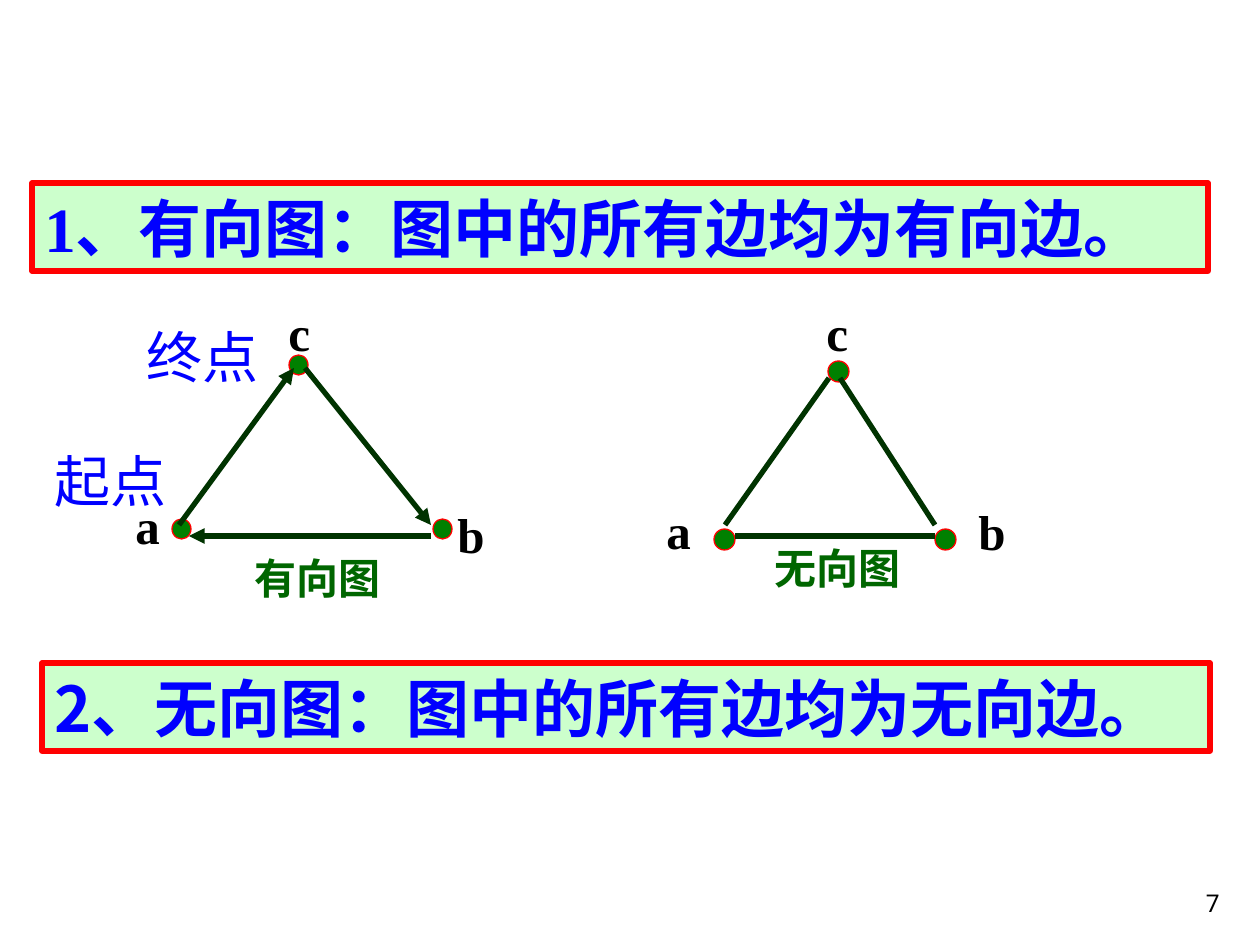
import pptx
import pptx.util
import pptx.dml.color
import pptx.enum.shapes
import pptx.enum.text
from lxml import etree

THEME = {
    "bar": "CCFFCC", "border": "FF0000", "blue": "0000FF", "node": "008000",
    "edge": "003300", "caption": "006600", "black": "000000",
    "serif": "Times New Roman", "sans": "Roboto", "cjk": "Noto Sans CJK SC",
    "bar_pt": 36, "node_pt": 28, "caption_pt": 24, "end_pt": 32, "number_pt": 14,
    "line_pt": 3, "ring_pt": 0.75,
}
SCALE = 914400 / 126

BARS = [
    ((32, 183, 1176, 88), [("1、", "serif"), ("有向图：图中的所有边均为有向边。", "cjk")]),
    ((42, 663, 1168, 88), [("2、无向图：图中的所有边均为无向边。", "cjk")]),
]
GRAPHS = [
    {
        "labels": [("c", (276, 296, 47, 72)), ("a", (123, 489, 49, 72)), ("b", (445, 498, 49, 72))],
        "nodes": [(289, 355), (172, 519), (433, 519)], "node_size": (19, 20),
        "edges": [(179, 525, 294, 368), (305, 368, 431, 525), (431, 536, 189, 536)],
        "directed": True, "caption": ("有向图", (242, 546, 151, 63)),
    },
    {
        "labels": [("c", (814, 296, 47, 72)), ("a", (654, 494, 49, 72)), ("b", (966, 495, 52, 72))],
        "nodes": [(828, 361), (714, 529), (935, 529)], "node_size": (21, 21),
        "edges": [(725, 525, 829, 378), (840, 378, 935, 525), (735, 536, 935, 536)],
        "directed": False, "caption": ("无向图", (762, 536, 151, 63)),
    },
]
ENDS = [("起点", (42, 440, 149, 81)), ("终点", (134, 316, 149, 81))]
NUMBER = ("7", (970, 861, 262, 63))


def emu(*lengths):
    return [pptx.util.Emu(round(n * SCALE)) for n in lengths]


def color(name):
    return pptx.dml.color.RGBColor.from_string(THEME[name])


def add_run(p, text, font, size, ink, bold):
    r = p.add_run()
    r.text = text
    r.font.size = pptx.util.Pt(THEME[size])
    r.font.bold = bold
    r.font.color.rgb = color(ink)
    r.font.name = THEME[font]
    ea = etree.SubElement(r.font._element, pptx.oxml.ns.qn("a:ea"))
    ea.set("typeface", THEME["cjk"])


def add_text(shapes, text, box, font, size, ink, bold=False, wrap=False):
    tf = shapes.add_textbox(*emu(*box)).text_frame
    tf.word_wrap = wrap
    add_run(tf.paragraphs[0], text, font, size, ink, bold)
    return tf


def add_shape(shapes, kind, box, fill, width):
    sp = shapes.add_shape(kind, *emu(*box))
    sp.shadow.inherit = False
    sp.fill.solid()
    sp.fill.fore_color.rgb = color(fill)
    sp.line.color.rgb = color("border")
    sp.line.width = pptx.util.Pt(THEME[width])
    return sp


def add_bar(shapes, box, runs):
    sp = add_shape(shapes, pptx.enum.shapes.MSO_SHAPE.RECTANGLE, box, "bar", "line_pt")
    tf = sp.text_frame
    tf.word_wrap = True
    tf.vertical_anchor = pptx.enum.text.MSO_ANCHOR.TOP
    p = tf.paragraphs[0]
    p.alignment = pptx.enum.text.PP_ALIGN.LEFT
    for text, font in runs:
        add_run(p, text, font, "bar_pt", "blue", True)


def add_edge(shapes, ends, directed):
    line = shapes.add_connector(pptx.enum.shapes.MSO_CONNECTOR.STRAIGHT, *emu(*ends))
    line.line.color.rgb = color("edge")
    line.line.width = pptx.util.Pt(THEME["line_pt"])
    if directed:
        ln = line.line._get_or_add_ln()
        etree.SubElement(ln, pptx.oxml.ns.qn("a:tailEnd")).set("type", "triangle")
    etree.SubElement(line._element.spPr, pptx.oxml.ns.qn("a:effectLst"))


def add_graph(s, graph):
    shapes = s.shapes.add_group_shape().shapes
    for text, box in graph["labels"]:
        add_text(shapes, text, box, "serif", "node_pt", "black", bold=True)
    for corner in graph["nodes"]:
        box = corner + graph["node_size"]
        add_shape(shapes, pptx.enum.shapes.MSO_SHAPE.OVAL, box, "node", "ring_pt")
    for ends in graph["edges"]:
        add_edge(shapes, ends, graph["directed"])
    add_text(shapes, *graph["caption"], "sans", "caption_pt", "caption", bold=True)


def main():
    prs = pptx.Presentation()
    prs.slide_width, prs.slide_height = emu(1260, 945)
    s = prs.slides.add_slide(prs.slide_layouts[6])
    for box, runs in BARS:
        add_bar(s.shapes, box, runs)
    for graph in GRAPHS:
        add_graph(s, graph)
    for text, box in ENDS:
        add_text(s.shapes, text, box, "sans", "end_pt", "blue", wrap=True)
    tf = add_text(s.shapes, *NUMBER, "sans", "number_pt", "black", wrap=True)
    tf.vertical_anchor = pptx.enum.text.MSO_ANCHOR.BOTTOM
    tf.paragraphs[0].alignment = pptx.enum.text.PP_ALIGN.RIGHT
    prs.save("out.pptx")


if __name__ == "__main__":
    main()
